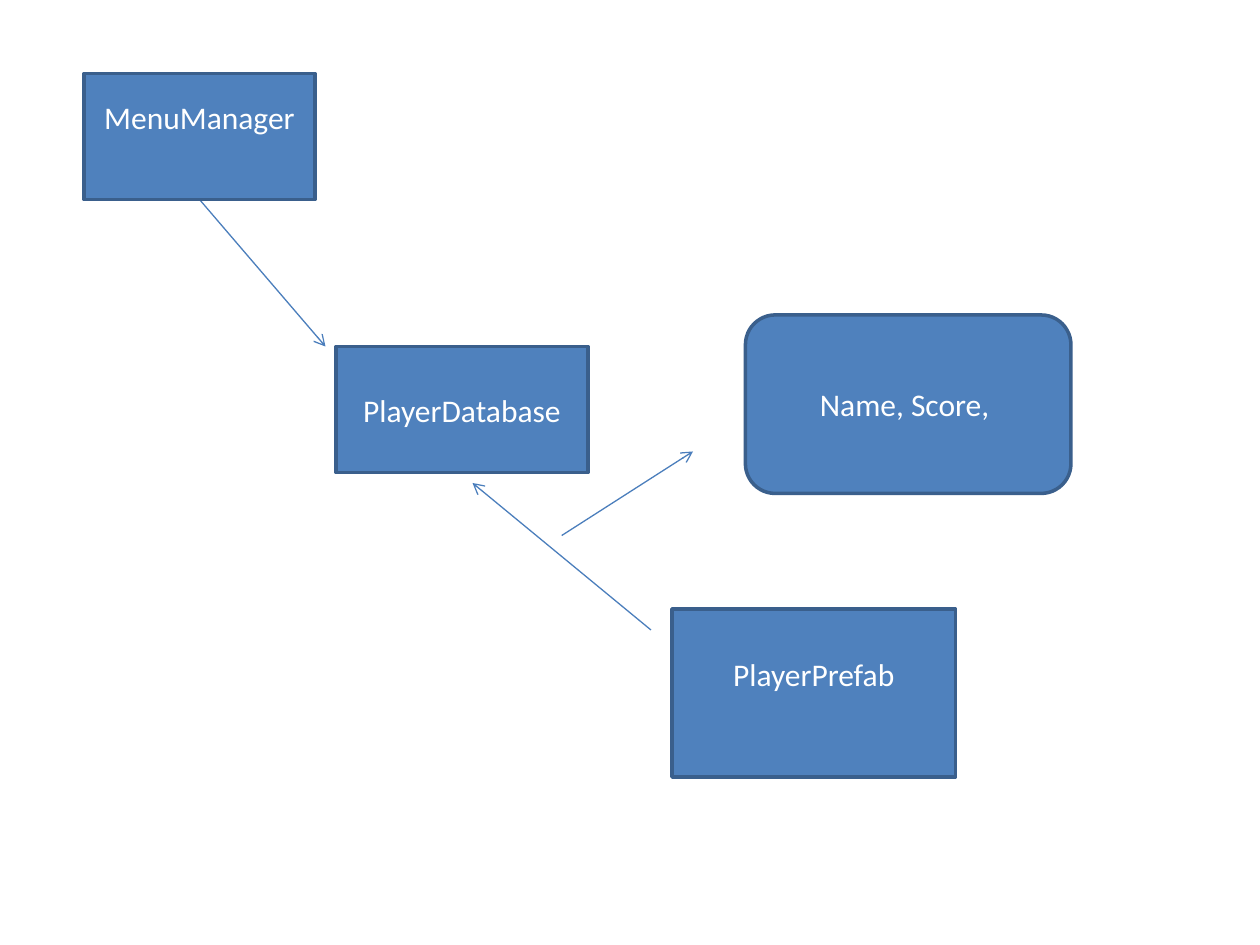
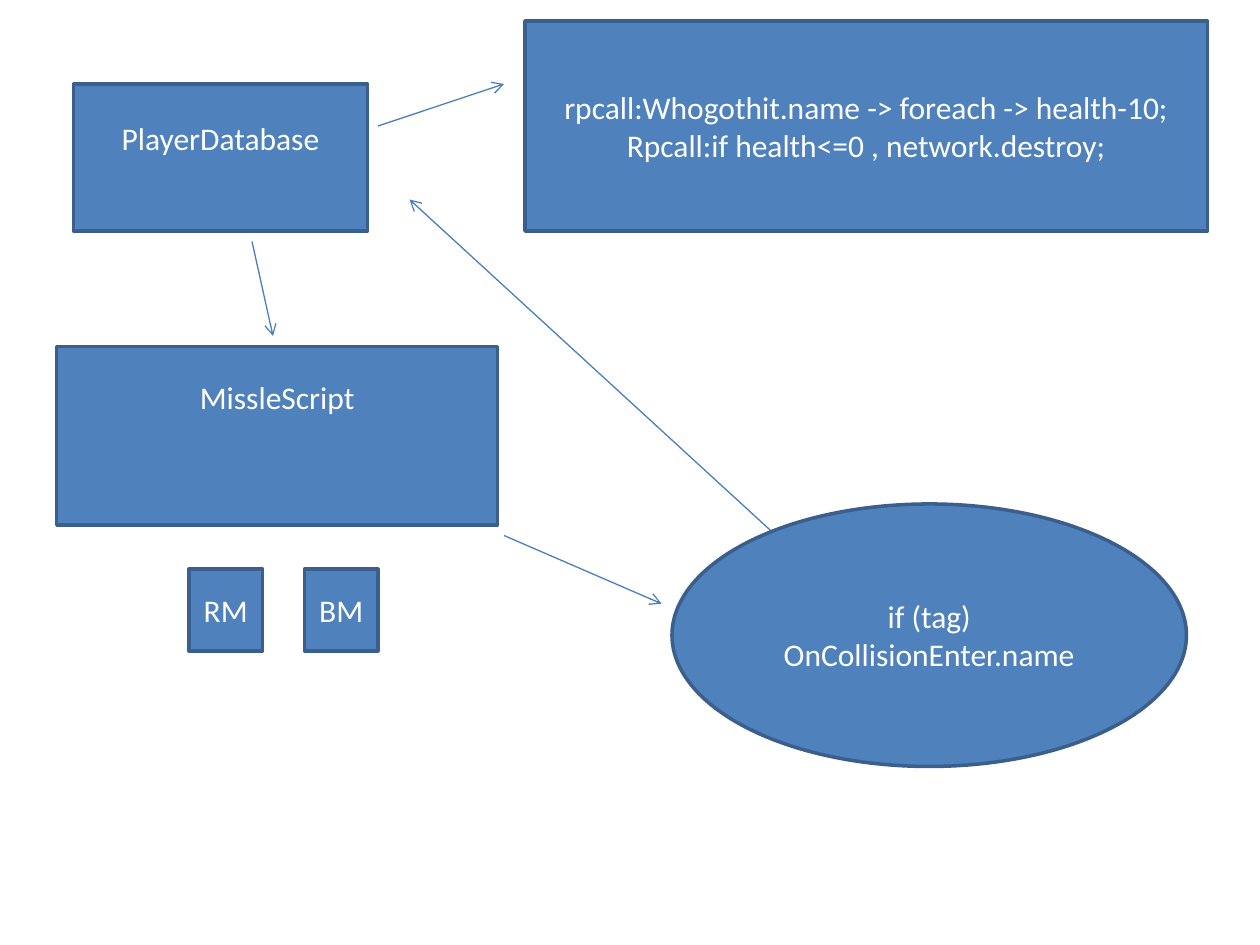
import pptx
import pptx.dml.color
import pptx.enum.shapes
import pptx.enum.text
import pptx.oxml
import pptx.oxml.ns
import pptx.util

COLOURS = {"fill": "4F81BD", "border": "3A5F8C", "arrow": "4B7EBC", "text": "FFFFFF"}
FONT = {"name": "Calibri", "size": pptx.util.Pt(18)}
LINE_HEIGHT = pptx.util.Pt(22)
INSET = pptx.util.Inches(0.05)

presentation = pptx.Presentation()
presentation.slide_width = pptx.util.Inches(10)
presentation.slide_height = pptx.util.Inches(7.5)

# The drawing grid has 120 columns and 90 rows of square cells.
CELL = presentation.slide_width / 120

shape_types = pptx.enum.shapes.MSO_SHAPE

# Box: preset, (column, row, columns, rows), lines of text, lines left free below.
# Arrow: start column and row, end column and row.
diagrams = [
    {
        "arrows": [
            (19, 19, 31, 33),
            (62, 60, 45, 46),
            (53.5, 51, 66, 43),
        ],
        "boxes": [
            (shape_types.RECTANGLE, (8, 7, 22, 12), ["MenuManager"], 1),
            (shape_types.RECTANGLE, (32, 33, 24, 12), ["PlayerDatabase"], 0),
            (shape_types.RECTANGLE, (64, 58, 27, 16), ["PlayerPrefab"], 1),
            (shape_types.FLOWCHART_ALTERNATE_PROCESS, (71, 30, 31, 17),
             ["Name, Score, "], 0),
        ],
    },
    {
        "arrows": [
            (24, 23, 26, 32),
            (48, 51, 63, 57.5),
            (75, 52, 39, 19),
            (36, 12, 48, 8),
        ],
        "boxes": [
            (shape_types.RECTANGLE, (7, 8, 28, 14), ["PlayerDatabase"], 1),
            (shape_types.RECTANGLE, (5.4, 33, 42, 17), ["MissleScript"], 2),
            (shape_types.OVAL, (64, 48, 49, 25),
             ["if (tag)", "OnCollisionEnter.name"], 0),
            (shape_types.RECTANGLE, (18, 54.2, 7, 7.8), ["RM"], 0),
            (shape_types.RECTANGLE, (29, 54.2, 7, 7.8), ["BM"], 0),
            (shape_types.FLOWCHART_PROCESS, (50, 2, 65, 20),
             ["rpcall:Whogothit.name -> foreach -> health-10;",
              "Rpcall:if health<=0 , network.destroy;"], 0),
        ],
    },
]


def to_lengths(cells):
    """Turn grid cells into slide lengths."""
    return [round(cell * CELL) for cell in cells]


def colour(name):
    """Look up a named colour of the deck."""
    return pptx.dml.color.RGBColor.from_string(COLOURS[name])


for diagram in diagrams:
    slide = presentation.slides.add_slide(presentation.slide_layouts[6])

    for ends in diagram["arrows"]:
        arrow = slide.shapes.add_connector(
            pptx.enum.shapes.MSO_CONNECTOR.STRAIGHT, *to_lengths(ends))
        arrow.line.color.rgb = colour("arrow")
        arrow.line.width = pptx.util.Pt(0.75)
        head = pptx.oxml.parse_xml(
            f'<a:tailEnd {pptx.oxml.ns.nsdecls("a")} type="arrow"/>')
        arrow.line._get_or_add_ln().append(head)
        no_shadow = pptx.oxml.parse_xml(
            f'<a:effectLst {pptx.oxml.ns.nsdecls("a")}/>')
        arrow._element.spPr.append(no_shadow)

    for preset, place, lines, free_lines in diagram["boxes"]:
        shape = slide.shapes.add_shape(preset, *to_lengths(place))
        shape.shadow.inherit = False
        shape.fill.solid()
        shape.fill.fore_color.rgb = colour("fill")
        shape.line.color.rgb = colour("border")
        shape.line.width = pptx.util.Pt(2)

        frame_format = {
            "word_wrap": True,
            "vertical_anchor": pptx.enum.text.MSO_ANCHOR.MIDDLE,
            "margin_bottom": INSET + free_lines * LINE_HEIGHT,
        }
        for attribute, value in frame_format.items():
            setattr(shape.text_frame, attribute, value)

        shape.text_frame.text = "\n".join(lines)
        for paragraph in shape.text_frame.paragraphs:
            paragraph.alignment = pptx.enum.text.PP_ALIGN.CENTER
            font = paragraph.runs[0].font
            for attribute, value in FONT.items():
                setattr(font, attribute, value)
            font.color.rgb = colour("text")

presentation.save("out.pptx")
